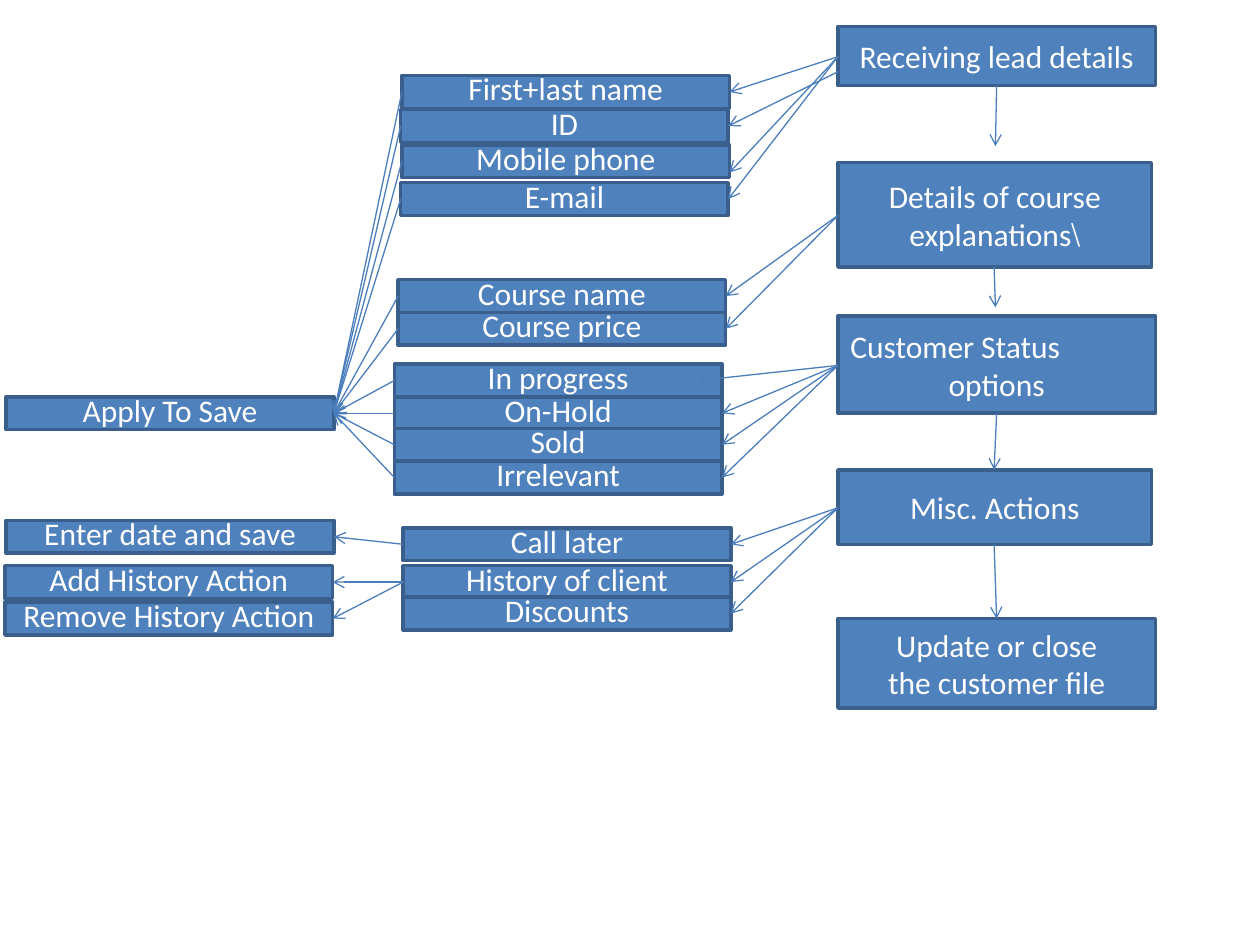
from pptx import Presentation
from pptx.dml.color import RGBColor
from pptx.enum.shapes import MSO_CONNECTOR as Connector, MSO_SHAPE as Shape
from pptx.enum.text import PP_ALIGN as Align
from pptx.oxml.ns import qn
from pptx.util import Inches, Pt
from lxml.etree import SubElement

COLORS = {"fill": "4F81BD", "border": "3A5F8C", "arrow": "4B7EBC", "text": "FFFFFF"}
FIELD_SIZE = (2.6, 0.26)
STEP_LEFT = 6.65

# Main steps: name, top, width, height, lines, right-to-left
STEPS = [
    ("lead", 0.21, 2.52, 0.47, ["Receiving lead details"], False),
    ("course", 1.29, 2.49, 0.83, ["Details of course", "\\explanations"], True),
    ("status", 2.51, 2.52, 0.77, ["Customer Status", "options"], False),
    ("actions", 3.73, 2.49, 0.59, ["Misc. Actions"], False),
    ("close", 4.91, 2.52, 0.71, ["Update or close", "the customer file"], False),
]

# Fields of each step: text, left, top, right-to-left
FIELDS = {
    "lead": [("First+last name", 3.19, 0.6, True), ("ID", 3.18, 0.87, True),
             ("Mobile phone", 3.19, 1.15, True), ("E-mail", 3.18, 1.45, True)],
    "course": [("Course name", 3.16, 2.22, True), ("Course price", 3.16, 2.48, False)],
    "status": [("In progress", 3.13, 2.89, False), ("On-Hold", 3.13, 3.15, False),
               ("Sold", 3.13, 3.4, False), ("Irrelevant", 3.13, 3.66, False)],
    "actions": [("Call later", 3.2, 4.19, False), ("History of client", 3.2, 4.49, False),
                ("Discounts", 3.2, 4.74, False)],
}

# Results on the left: text, left, top, source field
RESULTS = [
    ("Enter date and save", 0.05, 4.13, "Call later"),
    ("Add History Action", 0.04, 4.49, "History of client"),
    ("Remove History Action", 0.04, 4.78, "History of client"),
]

# Arrow ends that leave the usual edge midpoints
FIELD_STARTS = {"ID": (STEP_LEFT, 0.57)}
FIELD_ENDS = {"Mobile phone": (5.79, 1.37), "In progress": (5.55, 3.02)}
STEP_ENDS = {"course": (7.9, 1.16), "status": (7.9, 2.44)}


def color(name):
    return RGBColor.from_string(COLORS[name])


def add_box(slide, position, size, lines, right_to_left=False):
    shape = slide.shapes.add_shape(
        Shape.ACTION_BUTTON_CUSTOM, *(Inches(value) for value in position + size))
    shape.shadow.inherit = False
    shape.fill.solid()
    shape.fill.fore_color.rgb = color("fill")
    shape.line.color.rgb = color("border")
    shape.line.width = Pt(2)
    frame = shape.text_frame
    frame.word_wrap = True
    for index, line in enumerate(lines):
        paragraph = frame.add_paragraph() if index else frame.paragraphs[0]
        paragraph.alignment = Align.CENTER
        if right_to_left:
            paragraph._p.get_or_add_pPr().set("rtl", "1")
        run = paragraph.add_run()
        run.text = line
        run.font.size = Pt(18)
        run.font.name = "Calibri"
        run.font.color.rgb = color("text")
    return shape


def add_field(slide, text, left, top, right_to_left=False):
    """Low box: no vertical margins and a tight line, so the text fits."""
    shape = add_box(slide, (left, top), FIELD_SIZE, [text], right_to_left)
    frame = shape.text_frame
    frame.margin_top = frame.margin_bottom = 0
    frame.paragraphs[0].line_spacing = 0.8
    return shape


def edge(shape, x_share, y_share):
    """Point on a box, as shares of its width and height."""
    return (round((shape.left + shape.width * x_share) / Inches(1), 2),
            round((shape.top + shape.height * y_share) / Inches(1), 2))


def add_arrow(slide, start, end):
    arrow = slide.shapes.add_connector(
        Connector.STRAIGHT, *(Inches(value) for value in start + end))
    arrow.line.color.rgb = color("arrow")
    arrow.line.width = Pt(0.75)
    SubElement(arrow.line._get_or_add_ln(), qn("a:tailEnd"), type="arrow")
    SubElement(arrow._element.spPr, qn("a:effectLst"))


def add_steps(slide):
    steps = {}
    for name, top, width, height, lines, right_to_left in STEPS:
        steps[name] = add_box(slide, (STEP_LEFT, top), (width, height), lines, right_to_left)
    steps["status"].text_frame.paragraphs[0].alignment = Align.LEFT
    names = list(steps)
    for name, following in zip(names, names[1:]):
        end = STEP_ENDS.get(following, edge(steps[following], 0.5, 0))
        add_arrow(slide, edge(steps[name], 0.5, 1), end)
    return steps


def add_fields(slide, steps):
    fields = {}
    for step, rows in FIELDS.items():
        for text, left, top, right_to_left in rows:
            fields[text] = add_field(slide, text, left, top, right_to_left)
        for text, *_ in rows:
            start = FIELD_STARTS.get(text, edge(steps[step], 0, 0.5))
            end = FIELD_ENDS.get(text, edge(fields[text], 1, 0.5))
            add_arrow(slide, start, end)
    return fields


def add_results(slide, fields):
    # Every field of the first three steps leads to saving
    save = add_field(slide, "Apply To Save", 0.05, 3.15)
    for step in ("lead", "course", "status"):
        for text, *_ in FIELDS[step]:
            add_arrow(slide, edge(fields[text], 0, 0.5), edge(save, 1, 0.5))
    # Results of the actions
    for text, left, top, source in RESULTS:
        result = add_field(slide, text, left, top)
        add_arrow(slide, edge(fields[source], 0, 0.5), edge(result, 1, 0.5))


def main():
    presentation = Presentation()
    presentation.slide_width = Inches(10)
    presentation.slide_height = Inches(7.5)
    slide = presentation.slides.add_slide(presentation.slide_layouts[6])
    steps = add_steps(slide)
    fields = add_fields(slide, steps)
    add_results(slide, fields)
    presentation.save("out.pptx")


main()
